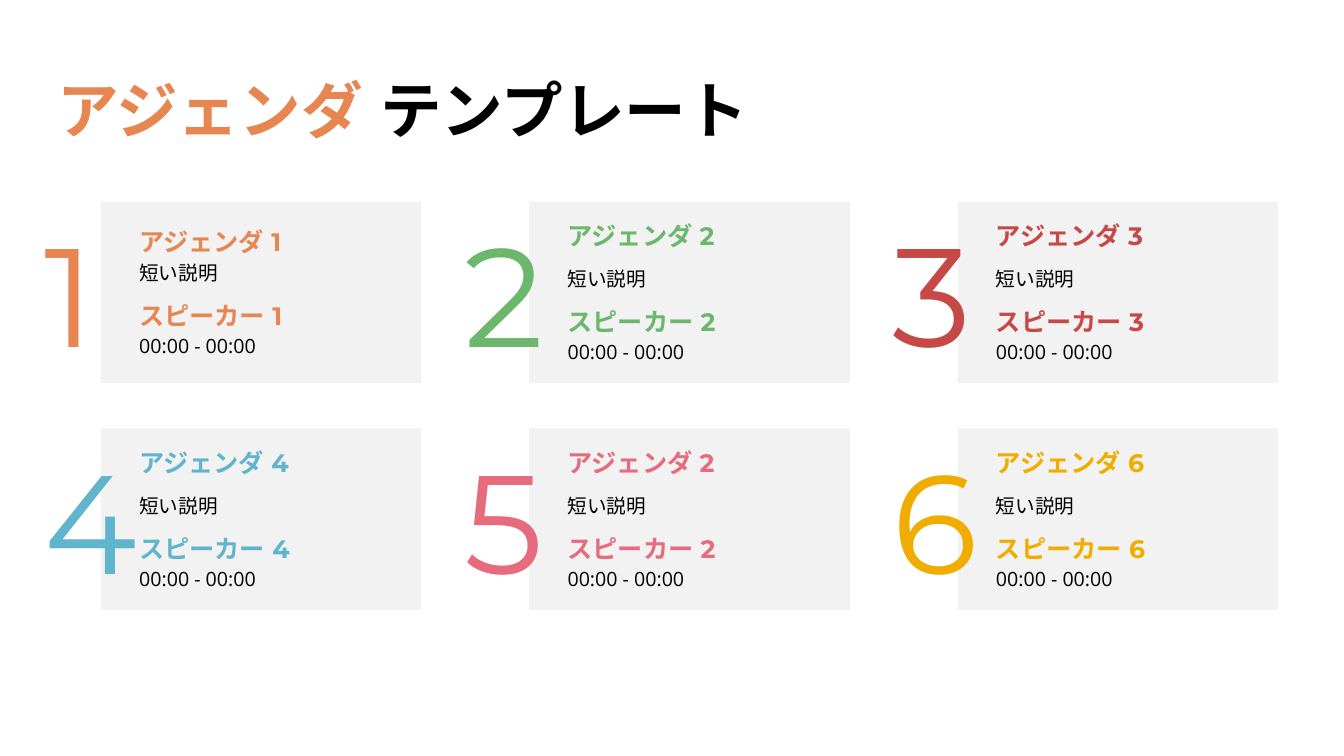
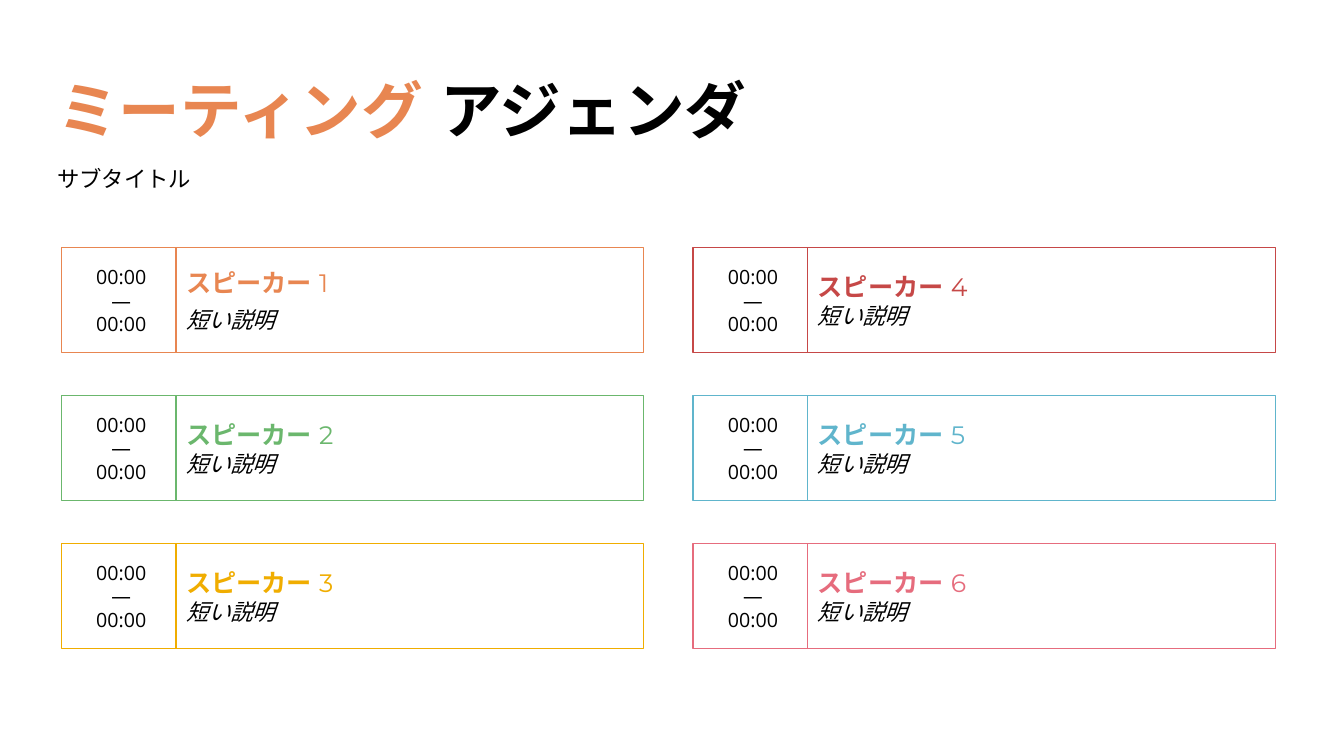
import pptx
import pptx.dml.color
import pptx.enum.lang
import pptx.enum.shapes
import pptx.enum.text
import pptx.oxml.ns
import pptx.util
from lxml import etree

Pt = pptx.util.Pt
SHAPES = pptx.enum.shapes.MSO_SHAPE
ALIGN = pptx.enum.text.PP_ALIGN
ANCHOR = pptx.enum.text.MSO_ANCHOR

HEADING_FONT, BODY_FONT = "Montserrat", "Open Sans"
BLACK, WHITE, LIGHT_GREY = "000000", "FFFFFF", "F2F2F2"
ORANGE, GREEN, RED = "E88651", "6BB76D", "C64847"
BLUE, PINK, YELLOW = "60B5CC", "E66C7D", "F0AD00"

DESCRIPTION = "短い説明"
TITLES = [("アジェンダ ", "テンプレート"), ("ミーティング ", "アジェンダ")]
SUBTITLE = "サブタイトル"

# number, label number, colour, space before the description
AGENDA_CARDS = [
    ("1", "1", ORANGE, 2.8), ("2", "2", GREEN, 11.3), ("3", "3", RED, 11.3),
    ("4", "4", BLUE, 11.3), ("5", "2", PINK, 11.3), ("6", "6", YELLOW, 11.3),
]
CARD_TIME = "00:00 - 00:00"
CARD_COLUMNS = 3
CARD_LEFT, CARD_TOP, CARD_WIDTH, CARD_HEIGHT = 72, 144, 229, 129.6
CARD_STEP_X, CARD_STEP_Y = 306, 162
NUMBER_OFFSETS = (-47.5, -53.3, -53.3)

# number, colour, space before the description
SPEAKERS = [
    ("1", ORANGE, 5.7), ("2", GREEN, 0), ("3", YELLOW, 0),
    ("4", RED, 0), ("5", BLUE, 0), ("6", PINK, 0),
]
SPEAKER_TIMES = ("00:00", "—", "00:00")
SPEAKER_ROWS = 3
ROW_LEFT, ROW_TOP, ROW_HEIGHT = 43.8, 177, 75
ROW_STEP_X, ROW_STEP_Y = 451.2, 105.6
TIME_WIDTH, NAME_OFFSET, NAME_WIDTH = 85.7, 82, 334


def rgb(value):
    return pptx.dml.color.RGBColor.from_string(value)


def add_run(paragraph, text, size, color=BLACK, font=BODY_FONT, bold=False, italic=False):
    run = paragraph.add_run()
    run.text = text
    run.font.size = Pt(size)
    run.font.name = font
    run.font.bold = bold
    run.font.italic = italic
    run.font.color.rgb = rgb(color)
    run.font.language_id = pptx.enum.lang.MSO_LANGUAGE_ID.JAPANESE
    east_asian = etree.Element(pptx.oxml.ns.qn("a:ea"), typeface=font)
    run.font._element.find(pptx.oxml.ns.qn("a:latin")).addnext(east_asian)


def write_paragraph(shape, runs, align=ALIGN.LEFT, before=0, line_spacing=None):
    """Write runs of (text, format) into the empty first paragraph or a new one."""
    frame = shape.text_frame
    paragraph = frame.paragraphs[0]
    if paragraph.runs:
        paragraph = frame.add_paragraph()
    paragraph.alignment = align
    if before:
        paragraph.space_before = Pt(before)
    if line_spacing:
        paragraph.line_spacing = line_spacing
    for text, text_format in runs:
        add_run(paragraph, text, **text_format)


def add_text_box(shapes, left, top, width, height, anchor=ANCHOR.MIDDLE):
    box = shapes.add_textbox(Pt(left), Pt(top), Pt(width), Pt(height))
    box.text_frame.word_wrap = True
    box.text_frame.vertical_anchor = anchor
    return box


def add_panel(shapes, kind, left, top, width, height, fill, line=None):
    panel = shapes.add_shape(kind, Pt(left), Pt(top), Pt(width), Pt(height))
    panel.shadow.inherit = False
    panel.fill.solid()
    panel.fill.fore_color.rgb = rgb(fill)
    if line:
        panel.line.color.rgb = rgb(line)
        panel.line.width = Pt(1)
    else:
        panel.line.fill.background()
    panel.text_frame.word_wrap = True
    panel.text_frame.vertical_anchor = ANCHOR.MIDDLE
    return panel


def add_outlined_box(shapes, left, top, width, color):
    box = add_panel(shapes, SHAPES.ROUNDED_RECTANGLE, left, top, width, ROW_HEIGHT, WHITE, color)
    box.adjustments[0] = 0
    return box


def heading(color, size=18, bold=True):
    return {"size": size, "color": color, "font": HEADING_FONT, "bold": bold}


def add_titled_slide(presentation, title):
    slide = presentation.slides.add_slide(presentation.slide_layouts[6])
    accent, rest = title
    box = add_text_box(slide.shapes, 33.8, 28.8, 828, 104.4)
    runs = [(accent, heading(ORANGE, 44)), (rest, heading(BLACK, 44))]
    write_paragraph(box, runs, line_spacing=0.9)
    return slide


def add_agenda_card(slide, index, number, label, color, description_gap):
    row, column = divmod(index, CARD_COLUMNS)
    left = CARD_LEFT + column * CARD_STEP_X
    top = CARD_TOP + row * CARD_STEP_Y
    group = slide.shapes.add_group_shape()
    card = add_panel(group.shapes, SHAPES.RECTANGLE, left, top, CARD_WIDTH, CARD_HEIGHT, LIGHT_GREY)
    card.text_frame.margin_left = Pt(27.4)
    write_paragraph(card, [(f"アジェンダ {label}", heading(color))])
    write_paragraph(card, [(DESCRIPTION, {"size": 14})], before=description_gap)
    write_paragraph(card, [(f"スピーカー {label}", heading(color))], before=11.3)
    write_paragraph(card, [(CARD_TIME, {"size": 14})], before=2.8)
    number_box = add_text_box(group.shapes, left + NUMBER_OFFSETS[column], top + 0.7,
                              68.4, 127.4, ANCHOR.TOP)
    write_paragraph(number_box, [(number, heading(color, 100, bold=False))])


def add_speaker_row(slide, index, number, color, description_gap):
    column, row = divmod(index, SPEAKER_ROWS)
    left = ROW_LEFT + column * ROW_STEP_X
    top = ROW_TOP + row * ROW_STEP_Y
    time_box = add_outlined_box(slide.shapes, left, top, TIME_WIDTH, color)
    for text in SPEAKER_TIMES:
        write_paragraph(time_box, [(text, {"size": 14})], align=ALIGN.CENTER)
    name_box = add_outlined_box(slide.shapes, left + NAME_OFFSET, top, NAME_WIDTH, color)
    runs = [("スピーカー ", heading(color)), (number, heading(color, bold=False))]
    write_paragraph(name_box, runs)
    write_paragraph(name_box, [(DESCRIPTION, {"size": 16, "italic": True})], before=description_gap)


def main():
    presentation = pptx.Presentation()
    presentation.slide_width = Pt(960)
    presentation.slide_height = Pt(540)

    agenda_slide, meeting_slide = [add_titled_slide(presentation, title) for title in TITLES]
    for index, card in enumerate(AGENDA_CARDS):
        add_agenda_card(agenda_slide, index, *card)

    subtitle = add_text_box(meeting_slide.shapes, 33.8, 116.6, 440, 24.5)
    write_paragraph(subtitle, [(SUBTITLE, {"size": 16})], line_spacing=0.9)
    for index, speaker in enumerate(SPEAKERS):
        add_speaker_row(meeting_slide, index, *speaker)

    presentation.save("out.pptx")


if __name__ == "__main__":
    main()
